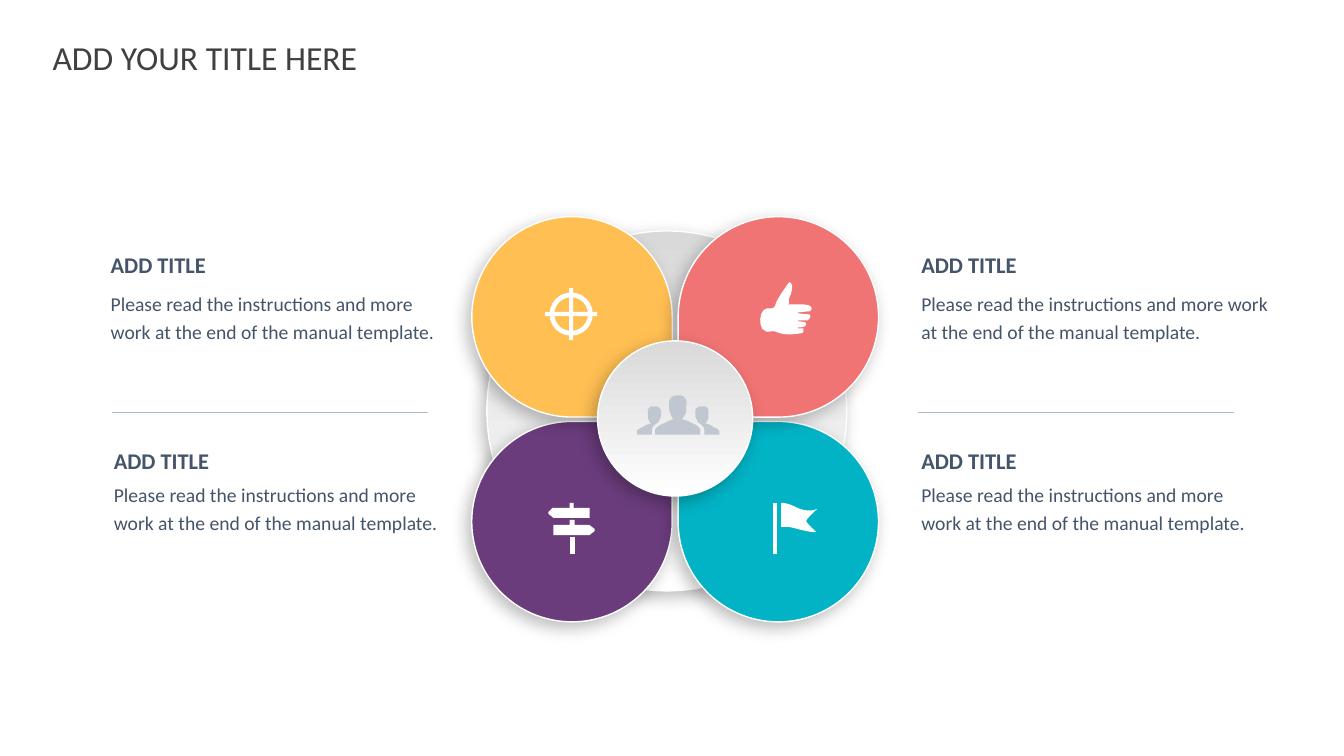
from dataclasses import dataclass

from pptx import Presentation
from pptx.dml.color import RGBColor
from pptx.enum.shapes import MSO_CONNECTOR, MSO_SHAPE
from pptx.enum.text import MSO_ANCHOR, MSO_AUTO_SIZE, PP_ALIGN
from pptx.oxml import parse_xml
from pptx.oxml.ns import nsdecls, qn
from pptx.util import Cm, Pt

OVAL = MSO_SHAPE.OVAL
TEAR = MSO_SHAPE.TEAR
CROSS = MSO_SHAPE.CROSS
DONUT = MSO_SHAPE.DONUT
STRAIGHT = MSO_CONNECTOR.STRAIGHT
LEFT = PP_ALIGN.LEFT
TOP = MSO_ANCHOR.TOP
GROW = MSO_AUTO_SIZE.SHAPE_TO_FIT_TEXT

WHITE = RGBColor(0xFF, 0xFF, 0xFF)
SILVER = RGBColor(0xD9, 0xD9, 0xD9)
INK = RGBColor(0x40, 0x40, 0x40)
SLATE = RGBColor(0x44, 0x54, 0x69)
RULE = RGBColor(0xAD, 0xBA, 0xCA)
MIST = RGBColor(0xC1, 0xC7, 0xD0)
AMBER = RGBColor(0xFF, 0xBF, 0x53)
CORAL = RGBColor(0xF0, 0x74, 0x74)
PLUM = RGBColor(0x6A, 0x3C, 0x7C)
TEAL = RGBColor(0x02, 0xB3, 0xC5)

FONT = "Calibri"
HEAD = "ADD TITLE"
BODY = "Please read the instructions and more work at the end of the manual template."
PETAL = 5.05
STEPS = 6  # line pieces per curve
FINE = 100  # local units per icon unit
UNIT = Cm(2.54) / 100  # one icon unit

# An outline is a list of points; six numbers make a cubic curve
Path = list[tuple[int, ...]]


@dataclass
class Petal:
    x: float
    y: float
    turn: int
    color: RGBColor


@dataclass
class Icon:
    x: float
    y: float
    color: RGBColor
    paths: list[Path]


@dataclass
class Block:
    x: float
    head: float
    body: float
    width: float


PETALS = [
    Petal(11.89, 10.62, 0, PLUM),
    Petal(17.09, 10.62, 270, TEAL),
    Petal(11.89, 5.46, 90, AMBER),
    Petal(17.09, 5.46, 180, CORAL),
]

BLOCKS = [
    Block(2.79, 6.32, 7.24, 8.74),
    Block(2.87, 11.28, 12.04, 8.66),
    Block(23.22, 6.32, 7.24, 8.86),
    Block(23.22, 11.28, 12.04, 8.59),
]

THUMB: Path = [
    (50, 38), (54, 35, 53, 33, 52, 32), (51, 32), (41, 31), (40, 31), (41, 30),
    (51, 29), (52, 29), (54, 28, 55, 26, 53, 24), (51, 22, 44, 22, 38, 22),
    (30, 22), (32, 21), (30, 16, 34, 13, 34, 10), (37, 1, 32, 0, 32, 0),
    (32, 0, 19, 17, 18, 23), (17, 27, 12, 26, 10, 26), (2, 26, 0, 47, 9, 49),
    (11, 50, 14, 48, 18, 49), (27, 53, 34, 52, 42, 51), (47, 51, 46, 48, 46, 46),
    (41, 46), (40, 45), (41, 45), (41, 45, 44, 45, 47, 44),
    (49, 43, 49, 41, 48, 40), (45, 39, 42, 39, 41, 39), (40, 39), (41, 38),
]
UPPER: Path = [
    (21, 5), (5, 5), (4, 5), (0, 9), (0, 11), (4, 14), (5, 15), (41, 15),
    (41, 5), (25, 5), (25, 0), (21, 0),
]
LOWER: Path = [
    (21, 22), (5, 22), (5, 32), (41, 32), (42, 31), (46, 28), (46, 26),
    (42, 23), (41, 22), (26, 22), (26, 17), (21, 17),
]
POST: Path = [(21, 34), (26, 34), (26, 51), (21, 51)]
POLE: Path = [(0, 0), (4, 0), (4, 51), (0, 51)]
CLOTH: Path = [
    (44, 6), (38, 9, 30, 8, 22, 4), (15, 0, 8, 0, 8, 0), (8, 24),
    (9, 24, 10, 24, 16, 24), (22, 25, 37, 30, 43, 29), (43, 29, 33, 20, 33, 18),
    (33, 16, 44, 6, 44, 6),
]
CHIEF: Path = [
    (58, 29), (55, 28, 51, 25, 45, 24), (46, 22, 47, 20, 49, 17),
    (49, 15, 49, 13, 49, 11), (49, 10, 50, 7, 49, 6), (48, 1, 45, 0, 41, 0),
    (37, 0, 34, 1, 32, 6), (32, 7, 32, 10, 32, 11), (32, 13, 32, 15, 33, 17),
    (34, 20, 35, 22, 36, 24), (31, 25, 27, 28, 24, 29), (18, 32, 18, 35, 18, 35),
    (18, 39), (63, 39), (63, 35), (63, 35, 63, 32, 58, 29),
]
MATE: Path = [
    (82, 36), (82, 36, 82, 34, 77, 32), (75, 31, 73, 29, 68, 28),
    (69, 27, 70, 25, 71, 23), (71, 22, 71, 20, 71, 19), (71, 18, 71, 16, 71, 15),
    (70, 11, 68, 11, 65, 11), (62, 11, 60, 11, 58, 15), (58, 16, 58, 18, 58, 19),
    (58, 20, 58, 22, 59, 23), (60, 25, 60, 26, 61, 27), (66, 30, 67, 33, 67, 34),
    (67, 39), (82, 39),
]
TWIN: Path = [tuple(v if i % 2 else 82 - v for i, v in enumerate(p)) for p in MATE]

ICONS = [
    Icon(19.08, 7.11, WHITE, [THUMB]),
    Icon(13.82, 12.67, WHITE, [POST, UPPER, LOWER]),
    Icon(19.48, 12.67, WHITE, [CLOTH, POLE]),
    Icon(16.05, 9.96, MIST, [MATE, TWIN, CHIEF]),
]


def add_form(slide, kind, x: float, y: float, size: float):
    form = slide.shapes.add_shape(kind, Cm(x), Cm(y), Cm(size), Cm(size))
    form.shadow.inherit = False
    return form


def add_disc(slide, kind, x: float, y: float, size: float, color: RGBColor | None = None):
    """Add a shape with white rim and soft shadow; no colour means a grey fade."""
    disc = add_form(slide, kind, x, y, size)
    if color is None:
        disc.fill.gradient()
        disc.fill.gradient_angle = 90
        for stop, tone in zip(disc.fill.gradient_stops, (WHITE, SILVER)):
            stop.color.rgb = tone
    else:
        disc.fill.solid()
        disc.fill.fore_color.rgb = color
    disc.line.color.rgb = WHITE
    disc.line.width = Pt(1)
    disc._element.spPr.find(qn("a:effectLst")).append(parse_xml(
        f'<a:outerShdw {nsdecls("a")} blurRad="{Pt(12)}" dist="{Pt(5)}" '
        'dir="8100000" rotWithShape="0"><a:srgbClr val="000000">'
        '<a:alpha val="26000"/></a:srgbClr></a:outerShdw>'))
    return disc


def paint(form, color: RGBColor) -> None:
    form.fill.solid()
    form.fill.fore_color.rgb = color
    form.line.fill.background()


def trace(path: Path) -> list[tuple[float, float]]:
    """Turn lines and curves into plain points."""
    spots = []
    for part in path:
        if len(part) == 2:
            spots.append((part[0] * FINE, part[1] * FINE))
            continue
        knots = [spots[-1]] + [(part[i] * FINE, part[i + 1] * FINE) for i in (0, 2, 4)]
        for step in range(1, STEPS + 1):
            t = step / STEPS
            s = 1 - t
            mix = (s ** 3, 3 * s * s * t, 3 * s * t * t, t ** 3)
            spots.append(tuple(sum(m * k[i] for m, k in zip(mix, knots)) for i in (0, 1)))
    return spots


def add_icon(slide, icon: Icon) -> None:
    for path in icon.paths:
        spots = trace(path)
        pen = slide.shapes.build_freeform(*spots[0], scale=UNIT / FINE)
        pen.add_line_segments(spots[1:], close=True)
        form = pen.convert_to_shape(Cm(icon.x), Cm(icon.y))
        form.shadow.inherit = False
        paint(form, icon.color)


def write(frame, text: str, size: int, color: RGBColor, bold: bool = False,
          space: float = 1.0) -> None:
    frame.word_wrap = True
    frame.auto_size = GROW
    frame.vertical_anchor = TOP
    line = frame.paragraphs[0]
    line.alignment = LEFT
    line.line_spacing = space
    run = line.add_run()
    run.text = text
    run.font.name = FONT
    run.font.size = Pt(size)
    run.font.bold = bold
    run.font.color.rgb = color


def add_box(slide, x: float, y: float, width: float, height: float):
    frame = slide.shapes.add_textbox(Cm(x), Cm(y), Cm(width), Cm(height)).text_frame
    frame.margin_left = frame.margin_right = frame.margin_top = frame.margin_bottom = 0
    return frame


def main() -> None:
    deck = Presentation()
    deck.slide_width, deck.slide_height = Cm(33.87), Cm(19.05)
    slide = deck.slides.add_slide(deck.slide_layouts[5])

    # Title
    title = slide.shapes.title
    title.left, title.top, title.width, title.height = Cm(1.07), Cm(0.81), Cm(11.81), Cm(1.3)
    write(title.text_frame, "ADD YOUR TITLE HERE", 24, INK)

    # Flower of discs
    add_disc(slide, OVAL, 12.27, 5.82, 9.07)
    for petal in PETALS:
        add_disc(slide, TEAR, petal.x, petal.y, PETAL, petal.color).rotation = petal.turn
    add_disc(slide, OVAL, 15.06, 8.59, 3.91)

    # Icons
    for kind, x, y, size, ratio in ((CROSS, 13.74, 7.26, 1.31, 0.46),
                                    (DONUT, 13.85, 7.37, 1.09, 0.11)):
        form = add_form(slide, kind, x, y, size)
        form.adjustments[0] = ratio
        paint(form, WHITE)
    for icon in ICONS:
        add_icon(slide, icon)

    # Rules
    for x in (2.82, 23.14):
        rule = slide.shapes.add_connector(STRAIGHT, Cm(x), Cm(10.39), Cm(x + 7.96), Cm(10.39))
        rule.line.color.rgb = RULE
        rule.line.width = Pt(0.5)
        rule._element.spPr.append(parse_xml(f'<a:effectLst {nsdecls("a")}/>'))

    # Text blocks
    for block in BLOCKS:
        write(add_box(slide, block.x, block.head, 5.44, 0.69), HEAD, 16, SLATE, bold=True)
        write(add_box(slide, block.x, block.body, block.width, 1.42), BODY, 14, SLATE, space=1.2)

    deck.save("out.pptx")


if __name__ == "__main__":
    main()
